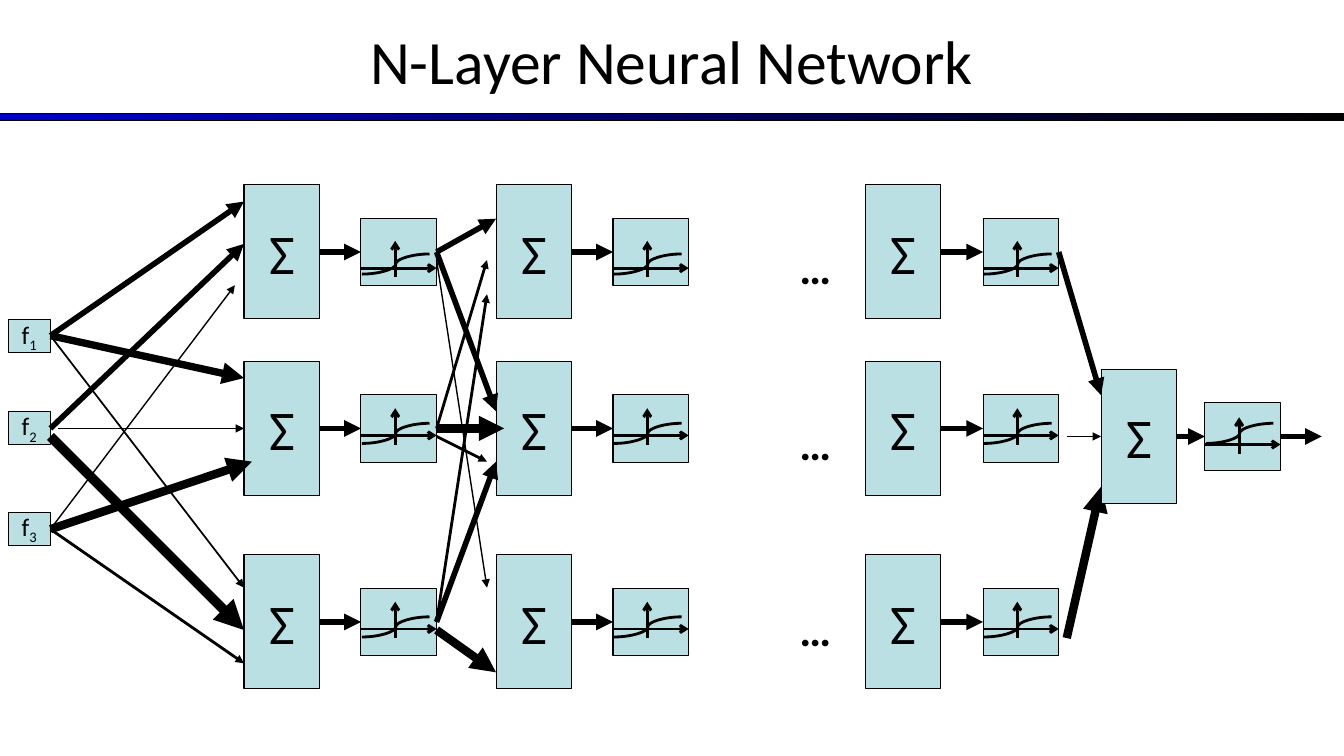
from lxml import etree
from pptx import Presentation
from pptx import util as u
from pptx.dml.color import RGBColor
from pptx.enum import shapes, text
from pptx.oxml import ns

# centre of each row, its axis, the top of its curve, the top of its dots
ROWS = [(2.5, 2.66, 2.52, 2.33), (4.25, 4.32, 4.2, 4.08), (6.17, 6.24, 6.12, 5.92)]
LAYERS = [(2.42, 3.58), (4.92, 6.08), (8.58, 9.75)]  # left of sum, of activation
FEATURE_TOPS = [3.17, 4.08, 5.08]

# from x, from y, to x, to y, width in points
BEHIND_OUTPUT = [(10.58, 6.33, 10.92, 4.83, 6), (10.58, 4.33, 10.92, 4.33, 1)]
WEIGHTS = [
    (0.5, 3.33, 2.42, 5.83, 1.25), (0.5, 4.33, 2.42, 6.25, 7), (0.5, 5.25, 2.42, 6.58, 2),
    (0.5, 3.33, 2.42, 3.75, 5.25), (0.58, 4.25, 2.42, 4.25, 1), (0.5, 5.25, 2.5, 4.58, 6),
    (0.5, 3.33, 2.42, 2, 4), (0.5, 4.25, 2.42, 2.42, 4), (0.5, 5.25, 2.33, 2.83, 1),
    (4.33, 2.5, 4.92, 2.17, 4), (4.33, 2.5, 4.92, 4.08, 4), (4.33, 2.58, 4.83, 5.83, 1),
    (4.33, 6.25, 4.92, 6.67, 6), (4.33, 4.25, 5, 4.25, 6), (4.33, 6.17, 4.92, 4.58, 4),
    (4.33, 6.17, 4.83, 2.92, 2), (4.33, 4.25, 4.83, 2.58, 2), (4.33, 4.33, 4.83, 4.58, 2),
    (10.5, 2.5, 10.92, 3.92, 4),
]


def color(value):
    return RGBColor.from_string(value)


def assign(target, values):
    """Set each attribute of target named in the dict."""
    for name, value in values.items():
        setattr(target, name, value)


class NetworkSlide:
    INK, BOX, FONT = "000000", "BBE0E3", "Calibri"
    SIDE, SUM_HEIGHT, ACT_HEIGHT = 0.75, 1.33, 0.67

    def __init__(self, prs):
        self.s = prs.slides.add_slide(prs.slide_layouts[5])

    def label(self, tf, runs, size, wrap=False, bold=False,
              align=text.PP_ALIGN.CENTER, anchor=text.MSO_ANCHOR.MIDDLE,
              auto_size=text.MSO_AUTO_SIZE.NONE):
        """Fill one paragraph; every run after the first is a subscript."""
        assign(tf, {"word_wrap": wrap, "vertical_anchor": anchor, "auto_size": auto_size})
        p = tf.paragraphs[0]
        p.alignment = align
        for i, words in enumerate(runs):
            r = p.add_run()
            r.text = words
            assign(r.font, {"name": self.FONT, "size": u.Pt(size), "bold": bold})
            r.font.color.rgb = color(self.INK)
            if i:
                r._r.get_or_add_rPr().set("baseline", "-25000")

    def title(self, words):
        sp = self.s.shapes.title
        assign(sp, {"left": 0, "top": u.Inches(-0.03),
                    "width": u.Inches(13.33), "height": u.Inches(1.25)})
        self.label(sp.text_frame, [words], 44, wrap=True)

    def box(self, x, y, w, h, runs=(), size=18):
        sp = self.s.shapes.add_shape(shapes.MSO_SHAPE.RECTANGLE, *map(u.Inches, (x, y, w, h)))
        sp.shadow.inherit = False
        sp.fill.solid()
        sp.fill.fore_color.rgb = color(self.BOX)
        sp.line.color.rgb = color(self.INK)
        sp.line.width = u.Pt(0.75)
        if runs:
            self.label(sp.text_frame, runs, size)
        return sp

    def rule(self):
        fill = self.box(0, 1.13, 13.33, 0.07).fill
        fill.gradient()
        fill.gradient_angle = 0
        for stop, value, position in zip(fill.gradient_stops, ("0000CC", "000000"), (0, 1)):
            stop.color.rgb = color(value)
            stop.position = position

    def line(self, x1, y1, x2, y2, width, head="triangle", kind=shapes.MSO_CONNECTOR.STRAIGHT):
        sp = self.s.shapes.add_connector(kind, *map(u.Inches, (x1, y1, x2, y2)))
        sp.line.color.rgb = color(self.INK)
        sp.line.width = u.Pt(width)
        if head:
            etree.SubElement(sp.get_or_add_ln(), ns.qn("a:tailEnd"), type=head)
        etree.SubElement(sp._element.spPr, ns.qn("a:effectLst"))

    def neuron(self, x, act_x, y, axis, curve):
        """Draw a sum box, its arrow and its activation box with the sigmoid."""
        self.box(x, y - self.SUM_HEIGHT / 2, self.SIDE, self.SUM_HEIGHT, ["Σ"], 40)
        self.box(act_x, y - self.ACT_HEIGHT / 2, self.SIDE, self.ACT_HEIGHT)
        self.line(x + self.SIDE, y, act_x, y, 4)
        self.line(act_x, axis, act_x + self.SIDE, axis, 2, "arrow")
        self.line(act_x + 0.34, axis + 0.09, act_x + 0.34, axis - 0.27, 2, "arrow")
        self.line(act_x + 0.01, curve + 0.2, act_x + 0.68, curve, 2, None,
                  shapes.MSO_CONNECTOR.CURVE)

    def dots(self, x, y):
        sp = self.s.shapes.add_textbox(*map(u.Inches, (x, y, 0.52, 0.64)))
        self.label(sp.text_frame, ["…"], 32, bold=True, align=text.PP_ALIGN.LEFT,
                   anchor=text.MSO_ANCHOR.TOP, auto_size=text.MSO_AUTO_SIZE.SHAPE_TO_FIT_TEXT)


def main():
    prs = Presentation()
    prs.slide_width, prs.slide_height = u.Inches(13.33), u.Inches(7.5)
    net = NetworkSlide(prs)
    net.rule()
    net.title("N-Layer Neural Network")
    for arrow in BEHIND_OUTPUT:
        net.line(*arrow)
    for number, top in enumerate(FEATURE_TOPS, 1):
        net.box(0.08, top, 0.42, 0.33, ["f", str(number)])
    for y, axis, curve, dots_top in ROWS:
        for x, act_x in LAYERS:
            net.neuron(x, act_x, y, axis, curve)
        net.dots(7.83, dots_top)
    net.neuron(10.92, 11.95, 4.33, 4.41, 4.2)
    net.line(12.7, 4.33, 13.11, 4.33, 4)
    for arrow in WEIGHTS:
        net.line(*arrow)
    prs.save("out.pptx")


if __name__ == "__main__":
    main()
